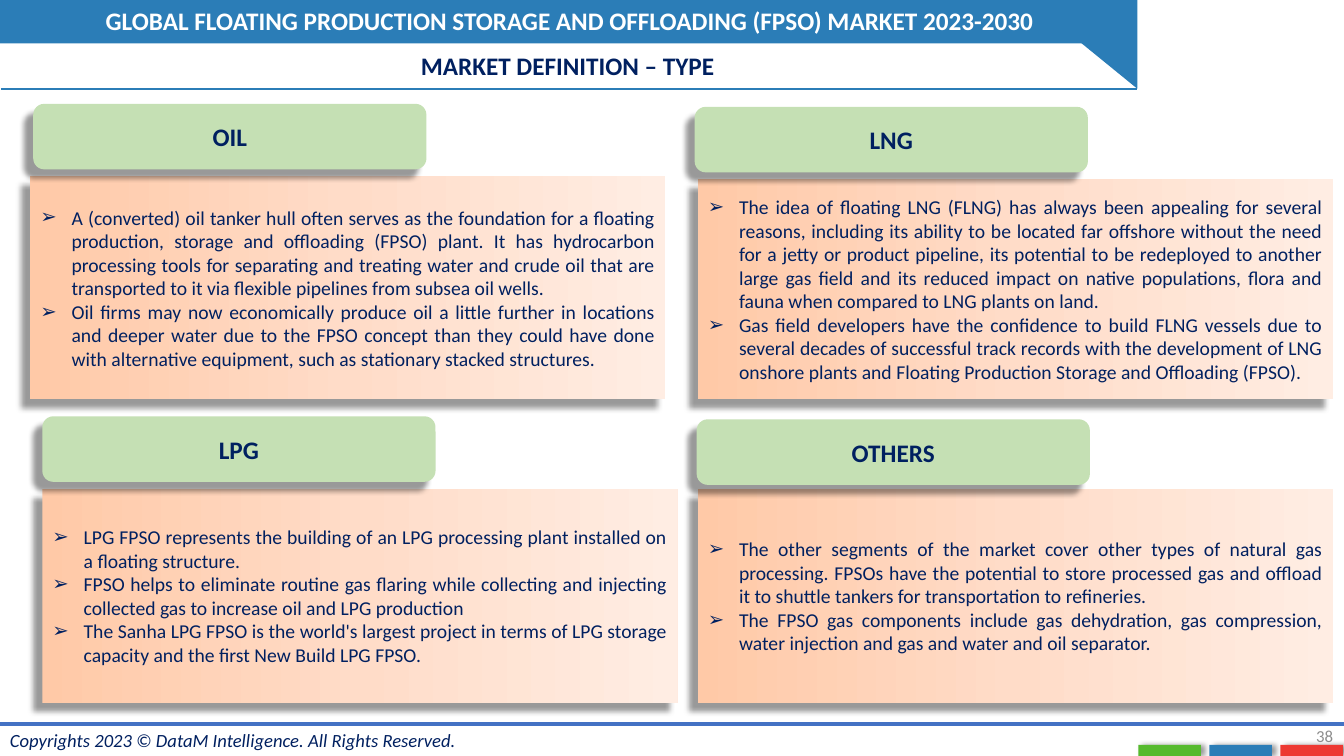
from copy import deepcopy
from dataclasses import dataclass

from lxml import etree
from pptx import Presentation
from pptx.dml.color import RGBColor
from pptx.enum import shapes, text
from pptx.oxml.ns import qn
from pptx.util import Inches, Pt

SHAPE = shapes.MSO_SHAPE
ALIGN = text.PP_ALIGN
ANCHOR = text.MSO_ANCHOR


@dataclass(frozen=True)
class Theme:
    font: str = "Calibri"
    navy: str = "002060"
    white: str = "FFFFFF"
    blue: str = "2B7DB7"
    rule_blue: str = "4472C4"
    green: str = "56BA2E"
    red: str = "ED3832"
    grey: str = "8C8C8C"
    tab: str = "C5E0B4"
    panel: tuple = ("FFC9A7", "FFDCC8", "FFEDE3")
    heading: float = 18
    body: float = 14
    footer: float = 13.3
    number: float = 12


class SlideBuilder:
    def __init__(self, slide, theme):
        self.slide = slide
        self.theme = theme

    def place(self, sp, box):
        sp.left, sp.top, sp.width, sp.height = map(Inches, box)

    def format_text(self, p, size, color, align, bold=False, italic=False):
        p.alignment = align
        p.space_before = Pt(0)
        for r in p.runs:
            r.font.name = self.theme.font
            r.font.size = Pt(size)
            r.font.bold = bold
            r.font.italic = italic
            r.font.color.rgb = RGBColor.from_string(color)

    def shadow(self, sp, distance, angle):
        sp.shadow.inherit = False
        effects = sp._element.spPr.find(qn("a:effectLst"))
        outer = etree.SubElement(effects, qn("a:outerShdw"), blurRad=str(Pt(4)),
                                 dist=str(Pt(distance)), dir=str(angle * 60000),
                                 algn="ctr", rotWithShape="0")
        color = etree.SubElement(outer, qn("a:srgbClr"), val="000000")
        etree.SubElement(color, qn("a:alpha"), val="40000")

    def shape(self, kind, box, color):
        sp = self.slide.shapes.add_shape(kind, *map(Inches, box))
        sp.fill.solid()
        sp.fill.fore_color.rgb = RGBColor.from_string(color)
        sp.line.fill.background()
        sp.shadow.inherit = False
        return sp

    def rule(self, x1, x2, y, color, width):
        line = self.slide.shapes.add_connector(
            shapes.MSO_CONNECTOR.STRAIGHT, *map(Inches, (x1, y, x2, y)))
        line.line.color.rgb = RGBColor.from_string(color)
        line.line.width = Pt(width)
        etree.SubElement(line._element.spPr, qn("a:effectLst"))

    def label(self, box, words, size, color, align, wrap=True, **style):
        tf = self.slide.shapes.add_textbox(*map(Inches, box)).text_frame
        tf.word_wrap = wrap
        tf.vertical_anchor = ANCHOR.MIDDLE
        tf.text = words
        self.format_text(tf.paragraphs[0], size, color, align, **style)

    def title(self, box, words):
        sp = self.slide.shapes.title
        self.place(sp, box)
        tf = sp.text_frame
        tf.text = words
        tf.auto_size = text.MSO_AUTO_SIZE.NONE
        tf.vertical_anchor = ANCHOR.MIDDLE
        self.format_text(tf.paragraphs[0], self.theme.heading, self.theme.navy,
                         ALIGN.CENTER, bold=True)

    def tab(self, box, words):
        sp = self.shape(SHAPE.ROUNDED_RECTANGLE, box, self.theme.tab)
        self.shadow(sp, 9, 135)
        tf = sp.text_frame
        tf.text = words
        tf.vertical_anchor = ANCHOR.MIDDLE
        self.format_text(tf.paragraphs[0], self.theme.heading, self.theme.navy,
                         ALIGN.CENTER, bold=True)

    def panel_fill(self, sp):
        """Fill with the three-stop gradient, running left to right."""
        sp.fill.gradient()
        sp.fill.gradient_angle = 0
        stops = sp._element.spPr.find(".//" + qn("a:gsLst"))
        stops.insert(1, deepcopy(stops[0]))
        for stop, color, position in zip(sp.fill.gradient_stops, self.theme.panel,
                                         (0, 0.5, 1)):
            stop.color.rgb = RGBColor.from_string(color)
            stop.position = position

    def panel(self, idx, box, items):
        sp = self.slide.placeholders[idx]
        self.place(sp, box)
        self.panel_fill(sp)
        sp.line.fill.background()
        self.shadow(sp, 9, 135)
        tf = sp.text_frame
        tf.text = "\n".join(items)
        tf.auto_size = text.MSO_AUTO_SIZE.NONE
        tf.vertical_anchor = ANCHOR.MIDDLE
        for p in tf.paragraphs:
            self.format_text(p, self.theme.body, self.theme.navy, ALIGN.JUSTIFY)
            pPr = p._p.get_or_add_pPr()
            pPr.set("marL", str(Inches(0.31)))
            pPr.set("indent", str(Inches(-0.31)))
            etree.SubElement(pPr, qn("a:buFont"), typeface="Arial")
            etree.SubElement(pPr, qn("a:buChar"), char="➢")


# Each segment: name, tab position, panel box, bullet items
SEGMENTS = [
    ("OIL", (0.33, 1.03), (0.3, 1.75, 6.3, 2.21), [
        "A (converted) oil tanker hull often serves as the foundation for a floating "
        "production, storage and offloading (FPSO) plant. It has hydrocarbon processing "
        "tools for separating and treating water and crude oil that are transported to "
        "it via flexible pipelines from subsea oil wells.",
        "Oil firms may now economically produce oil a little further in locations and "
        "deeper water due to the FPSO concept than they could have done with alternative "
        "equipment, such as stationary stacked structures."]),
    ("LPG", (0.42, 4.13), (0.42, 4.85, 6.3, 2.12), [
        "LPG FPSO represents the building of an LPG processing plant installed on a "
        "floating structure.",
        "FPSO helps to eliminate routine gas flaring while collecting and injecting "
        "collected gas to increase oil and LPG production",
        "The Sanha LPG FPSO is the world's largest project in terms of LPG storage "
        "capacity and the first New Build LPG FPSO."]),
    ("LNG", (6.89, 1.06), (6.92, 1.78, 6.3, 2.18), [
        "The idea of floating LNG (FLNG) has always been appealing for several reasons, "
        "including its ability to be located far offshore without the need for a jetty "
        "or product pipeline, its potential to be redeployed to another large gas field "
        "and its reduced impact on native populations, flora and fauna when compared to "
        "LNG plants on land.",
        "Gas field developers have the confidence to build FLNG vessels due to several "
        "decades of successful track records with the development of LNG onshore plants "
        "and Floating Production Storage and Offloading (FPSO)."]),
    ("OTHERS", (6.91, 4.16), (6.92, 4.85, 6.3, 2.12), [
        "The other segments of the market cover other types of natural gas processing. "
        "FPSOs have the potential to store processed gas and offload it to shuttle "
        "tankers for transportation to refineries.",
        "The FPSO gas components include gas dehydration, gas compression, water "
        "injection and gas and water and oil separator."]),
]


def main():
    prs = Presentation()
    prs.slide_width, prs.slide_height = Inches(13.33), Inches(7.5)
    comparison_layout = prs.slide_layouts[4]
    theme = Theme()
    page = SlideBuilder(prs.slides.add_slide(comparison_layout), theme)

    page.shape(SHAPE.RECTANGLE, (0, 0, 10.74, 0.43), theme.blue)
    corner = page.shape(SHAPE.RIGHT_TRIANGLE, (10.2, 0, 1.08, 0.88), theme.blue)
    corner.rotation = 180
    page.rule(0.01, 11.28, 0.88, theme.blue, 1.5)
    page.label((0.01, 0, 11.28, 0.4),
               "GLOBAL FLOATING PRODUCTION STORAGE AND OFFLOADING (FPSO) MARKET 2023-2030",
               theme.heading, theme.white, ALIGN.CENTER, bold=True)
    page.title((0, 0.45, 11.26, 0.4), "MARKET DEFINITION – TYPE")

    for idx, (name, corner_at, box, items) in enumerate(SEGMENTS, start=1):
        page.panel(idx, box, items)
        page.tab((*corner_at, 3.9, 0.65), name)

    for i, color in enumerate((theme.green, theme.blue, theme.red)):
        bar = page.shape(SHAPE.RECTANGLE, (11.29 + 0.705 * i, 7.39, 0.62, 0.11), color)
        page.shadow(bar, 3, 0)
    page.rule(0, 13.33, 7.18, theme.rule_blue, 3)
    page.label((0, 7.18, 4.68, 0.33),
               "Copyrights 2023 © DataM Intelligence. All Rights Reserved.",
               theme.footer, theme.navy, ALIGN.LEFT, wrap=False, italic=True)
    page.label((10.32, 7.1, 3, 0.4), "38", theme.number, theme.grey, ALIGN.RIGHT)
    prs.save("out.pptx")


if __name__ == "__main__":
    main()
